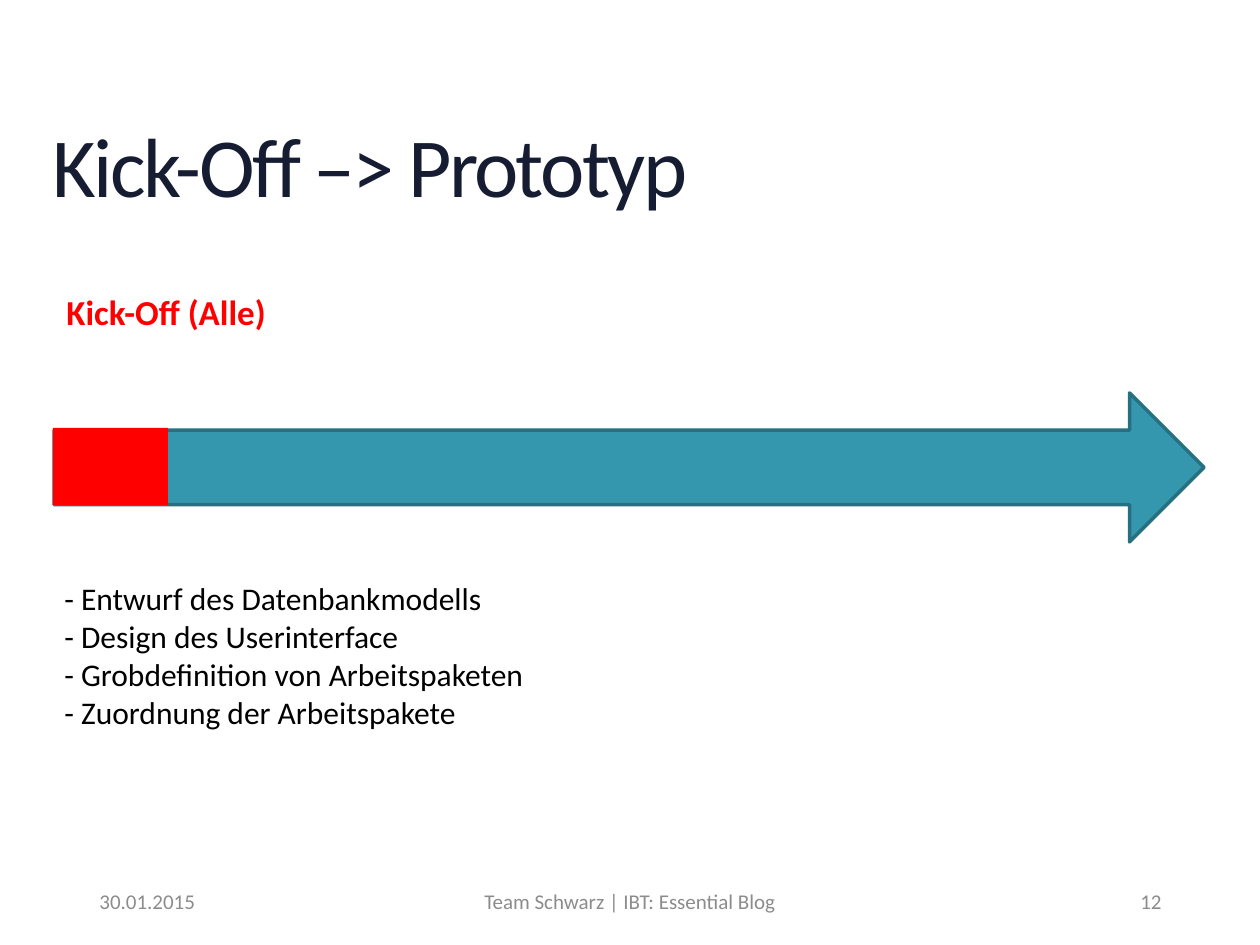
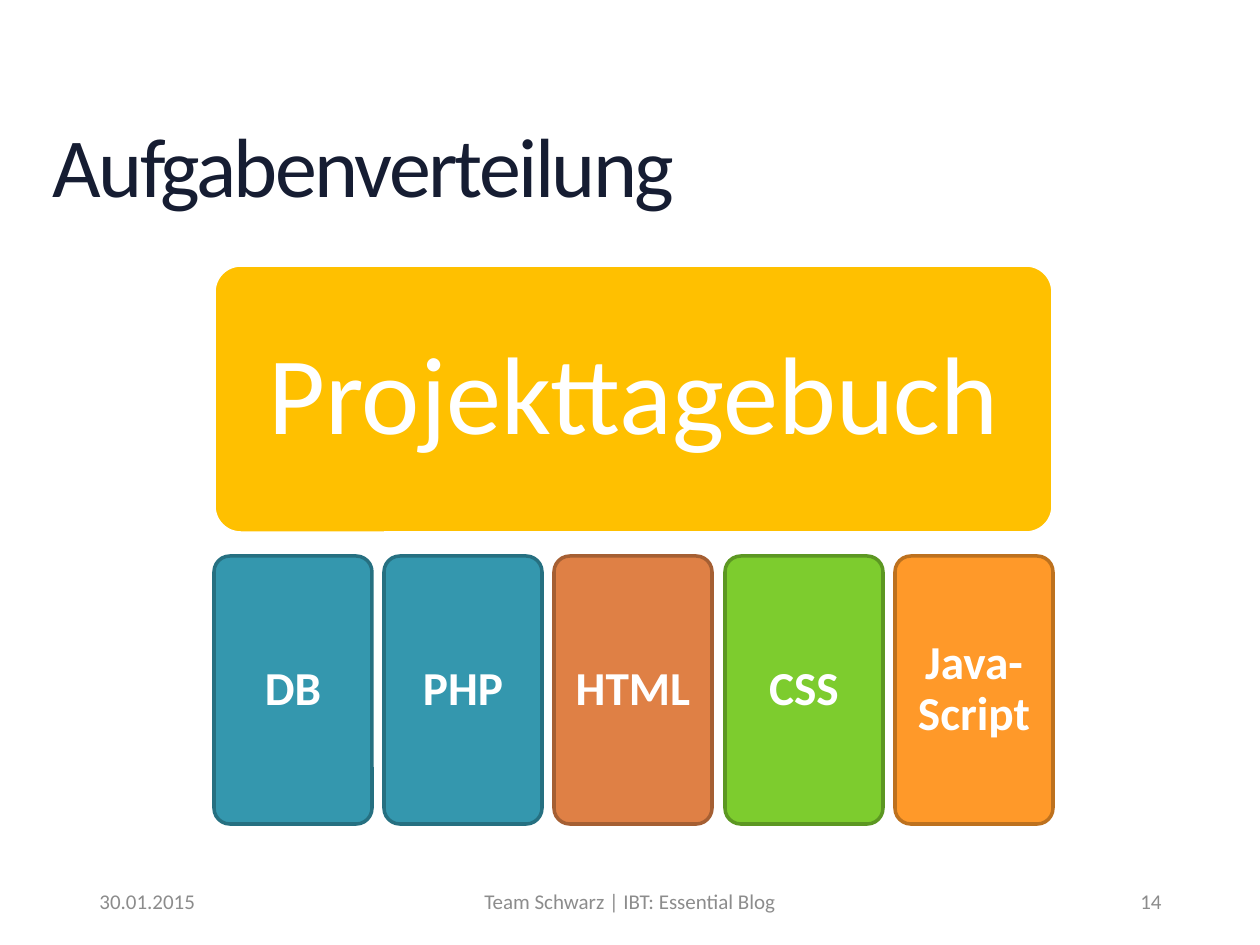
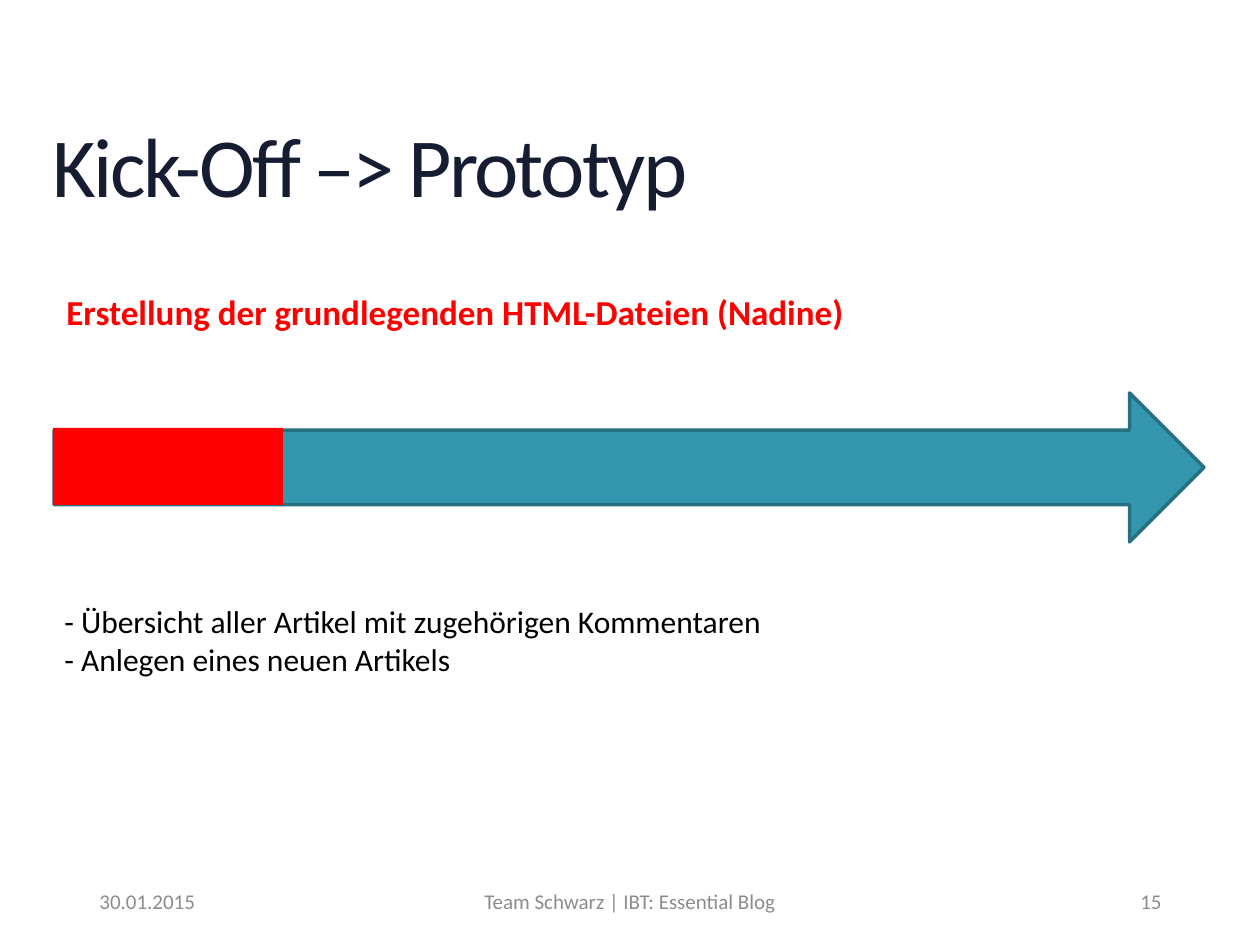
from dataclasses import dataclass

from pptx import Presentation
from pptx.dml.color import RGBColor
from pptx.enum.shapes import MSO_SHAPE
from pptx.enum.text import MSO_ANCHOR, PP_ALIGN
from pptx.util import Emu, Pt

LEFT, CENTER, RIGHT = PP_ALIGN.LEFT, PP_ALIGN.CENTER, PP_ALIGN.RIGHT
TOP, MIDDLE = MSO_ANCHOR.TOP, MSO_ANCHOR.MIDDLE
RECT, ROUND_RECT = MSO_SHAPE.RECTANGLE, MSO_SHAPE.ROUNDED_RECTANGLE
RIGHT_ARROW = MSO_SHAPE.RIGHT_ARROW
PX_PER_INCH = 126


@dataclass(frozen=True)
class Theme:
    font: str = "Calibri"
    # Colours
    title: str = "161D32"
    text: str = "000000"
    footer: str = "8C8C8C"
    white: str = "FFFFFF"
    red: str = "FF0000"
    yellow: str = "FFC000"
    teal: tuple = ("3497AE", "267081")
    brown: tuple = ("DF8045", "A55F33")
    green: tuple = ("7DCC2E", "5C9722")
    orange: tuple = ("FF9929", "BD711E")
    # Type sizes and line width in points
    title_pt: int = 48
    diary_pt: int = 63
    task_pt: int = 27
    heading_pt: int = 20
    body_pt: int = 18
    footer_pt: int = 12
    line_pt: int = 2


T = Theme()
DATE = "30.01.2015"
FOOTER = "Team Schwarz | IBT: Essential Blog"


def px(n):
    return Emu(round(n * 914400 / PX_PER_INCH))


def rgb(value):
    return RGBColor.from_string(value)


# Basic elements
def write(tf, lines, size, color, bold=False, align=LEFT, anchor=TOP,
          inset=None, line_spacing=None):
    tf.word_wrap = True
    tf.vertical_anchor = anchor
    if inset is not None:
        tf.margin_left = tf.margin_right = px(inset)
        tf.margin_top = tf.margin_bottom = px(inset)
    for i, line in enumerate(lines):
        p = tf.add_paragraph() if i else tf.paragraphs[0]
        p.text = line
        p.alignment = align
        p.line_spacing = line_spacing
        p.font.name = T.font
        p.font.size = Pt(size)
        p.font.bold = bold
        p.font.color.rgb = rgb(color)


def add_text(s, box, lines, size, color, **style):
    sp = s.shapes.add_textbox(*map(px, box))
    write(sp.text_frame, lines, size, color, **style)
    return sp


def add_box(s, kind, box, fill, line=None):
    sp = s.shapes.add_shape(kind, *map(px, box))
    sp.shadow.inherit = False
    sp.fill.solid()
    sp.fill.fore_color.rgb = rgb(fill)
    if line:
        sp.line.color.rgb = rgb(line)
        sp.line.width = Pt(T.line_pt)
    else:
        sp.line.fill.background()
    return sp


# Title and footer shared by all slides
def add_slide(prs, title, number):
    s = prs.slides.add_slide(prs.slide_layouts[6])
    sp = add_text(s, (53, 125, 1155, 92), [title], T.title_pt, T.title,
                  inset=0, line_spacing=0.9)
    for r in sp.text_frame.paragraphs[0].runs:
        r.font._element.set("spc", "-150")
    for x, w, text, align in ((87, 284, DATE, LEFT),
                              (417, 426, FOOTER, CENTER),
                              (890, 284, str(number), RIGHT)):
        add_text(s, (x, 876, w, 50), [text], T.footer_pt, T.footer,
                 align=align, anchor=MIDDLE)
    return s


# Timeline arrow with the progress reached so far
def add_timeline_slide(prs, number, heading, steps_done, tasks, tasks_y):
    s = add_slide(prs, "Kick-Off –> Prototyp", number)
    add_text(s, (54, 284, 1150, 55), [heading], T.heading_pt, T.red, bold=True)
    add_box(s, RIGHT_ARROW, (54, 393, 1150, 149), *T.teal)
    add_box(s, RECT, (53, 428, 115 * steps_done, 77), T.red)
    add_text(s, (52, tasks_y, 1131, 13 + 38 * len(tasks)), tasks,
             T.body_pt, T.text)


def add_card(s, box, text, size, fill, line, bold, inset):
    sp = add_box(s, ROUND_RECT, box, fill, line)
    sp.adjustments[0] = 0.1
    write(sp.text_frame, [text], size, T.white, bold=bold, align=CENTER,
          anchor=MIDDLE, inset=inset, line_spacing=0.9)


# Project diary above one card per technology
def add_task_slide(prs, number):
    s = add_slide(prs, "Aufgabenverteilung", number)
    left, width, height, card_w = 214, 839, 268, 158
    add_card(s, (left, 265, width, height), "Projekttagebuch", T.diary_pt,
             T.yellow, T.white, bold=False, inset=25)
    cards = [("DB", T.teal), ("PHP", T.teal), ("HTML", T.brown),
             ("CSS", T.green), ("Java-Script", T.orange)]
    step = (width - card_w) / (len(cards) - 1)
    for i, (text, colors) in enumerate(cards):
        add_card(s, (left + round(i * step), 556, card_w, height), text,
                 T.task_pt, *colors, bold=True, inset=10)


def main():
    prs = Presentation()
    prs.slide_width, prs.slide_height = px(1260), px(945)
    add_timeline_slide(prs, 12, "Kick-Off (Alle)", 1, [
        "- Entwurf des Datenbankmodells",
        "- Design des Userinterface",
        "- Grobdefinition von Arbeitspaketen",
        "- Zuordnung der Arbeitspakete",
    ], 573)
    add_task_slide(prs, 14)
    add_timeline_slide(
        prs, 15, "Erstellung der grundlegenden HTML-Dateien (Nadine)", 2, [
            "- Übersicht aller Artikel mit zugehörigen Kommentaren",
            "- Anlegen eines neuen Artikels",
        ], 596)
    prs.save("out.pptx")


if __name__ == "__main__":
    main()
